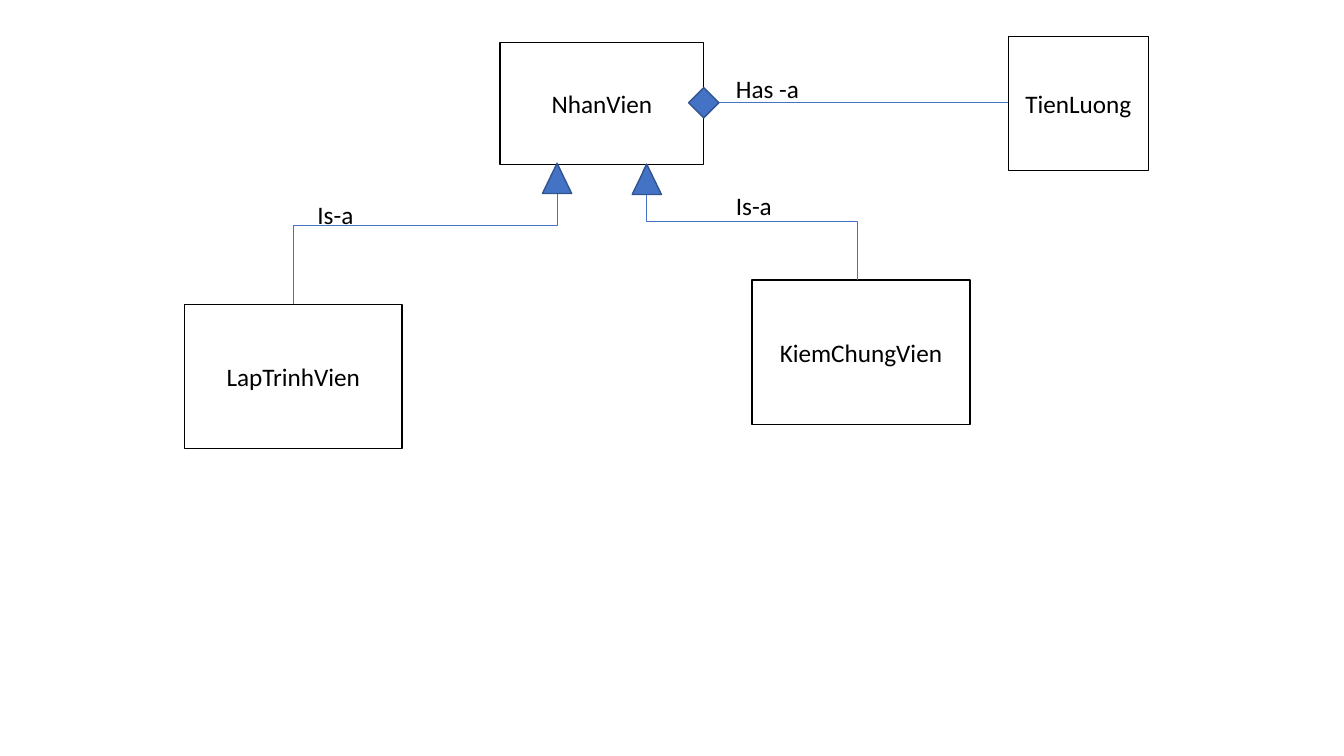
from lxml import etree
from pptx import Presentation
from pptx.dml.color import RGBColor
from pptx.enum.shapes import MSO_CONNECTOR, MSO_SHAPE
from pptx.enum.text import MSO_ANCHOR, PP_ALIGN
from pptx.oxml.ns import qn
from pptx.util import Inches, Pt

BLACK = RGBColor(0x00, 0x00, 0x00)
WHITE = RGBColor(0xFF, 0xFF, 0xFF)
BLUE = RGBColor(0x44, 0x72, 0xC4)
DARK_BLUE = RGBColor(0x32, 0x54, 0x91)
RECTANGLE, TRIANGLE, DIAMOND = MSO_SHAPE.RECTANGLE, MSO_SHAPE.ISOSCELES_TRIANGLE, MSO_SHAPE.DIAMOND
STRAIGHT, ELBOW = MSO_CONNECTOR.STRAIGHT, MSO_CONNECTOR.ELBOW
MIDDLE, CENTER = MSO_ANCHOR.MIDDLE, PP_ALIGN.CENTER
TEXT_FORMAT = {"name": "Calibri", "size": Pt(18)}

prs = Presentation()
prs.slide_width, prs.slide_height = Inches(13.33), Inches(7.5)
slide = prs.slides.add_slide(prs.slide_layouts[6])


def write(holder, words):
    holder.text_frame.word_wrap = True
    paragraph = holder.text_frame.paragraphs[0]
    run = paragraph.add_run()
    run.text = words
    for key, value in TEXT_FORMAT.items():
        setattr(run.font, key, value)
    run.font.color.rgb = BLACK
    return paragraph


def draw(preset, box, fill, outline):
    shape = slide.shapes.add_shape(preset, *map(Inches, box))
    shape.shadow.inherit = False
    shape.fill.solid()
    shape.fill.fore_color.rgb = fill
    shape.line.color.rgb = outline
    shape.line.width = Pt(1)
    return shape


classes = {
    "NhanVien": (4.96, 0.42, 2.02, 1.21),
    "KiemChungVien": (7.46, 2.78, 2.16, 1.43),
    "TienLuong": (10, 0.36, 1.39, 1.33),
    "LapTrinhVien": (1.83, 3.02, 2.16, 1.43),
}
for class_name, box in classes.items():
    class_box = draw(RECTANGLE, box, WHITE, BLACK)
    class_box.text_frame.vertical_anchor = MIDDLE
    write(class_box, class_name).alignment = CENTER

relations = [
    ((8.5, 2.78), (6.41, 1.62), 50000),
    ((2.91, 3.02), (5.53, 1.62), 55700),
    ((10, 1.02), (6.97, 1.02), None),
]
for (x1, y1), (x2, y2), bend in relations:
    if bend:
        mid_x, mid_y = (x1 + x2) / 2, (y1 + y2) / 2
        half_x, half_y = (x1 - x2) / 2, (y1 - y2) / 2
        ends = (mid_x - half_y, mid_y + half_x, mid_x + half_y, mid_y - half_x)
        relation = slide.shapes.add_connector(ELBOW, *map(Inches, ends))
        properties = relation._element.spPr
        properties.find(qn("a:xfrm")).set("rot", str(270 * 60000))
        guides = properties.find(qn("a:prstGeom")).find(qn("a:avLst"))
        etree.SubElement(guides, qn("a:gd"), name="adj1", fmla=f"val {bend}")
    else:
        relation = slide.shapes.add_connector(STRAIGHT, *map(Inches, (x1, y1, x2, y2)))
    relation.line.color.rgb = BLUE
    relation.line.width = Pt(0.5)
    etree.SubElement(relation.line._get_or_add_ln(), qn("a:tailEnd"), type="triangle")
    etree.SubElement(relation._element.spPr, qn("a:effectLst"))

for preset, box in [
    (TRIANGLE, (5.38, 1.62, 0.29, 0.3)),
    (TRIANGLE, (6.27, 1.63, 0.29, 0.3)),
    (DIAMOND, (6.83, 0.87, 0.3, 0.3)),
]:
    draw(preset, box, BLUE, DARK_BLUE)

for words, box in [
    ("Is-a", (3.05, 1.93, 0.74, 0.4)),
    ("Is-a", (7.2, 1.84, 0.65, 0.71)),
    ("Has -a", (7.2, 0.68, 1.14, 0.4)),
]:
    write(slide.shapes.add_textbox(*map(Inches, box)), words)

prs.save("out.pptx")
